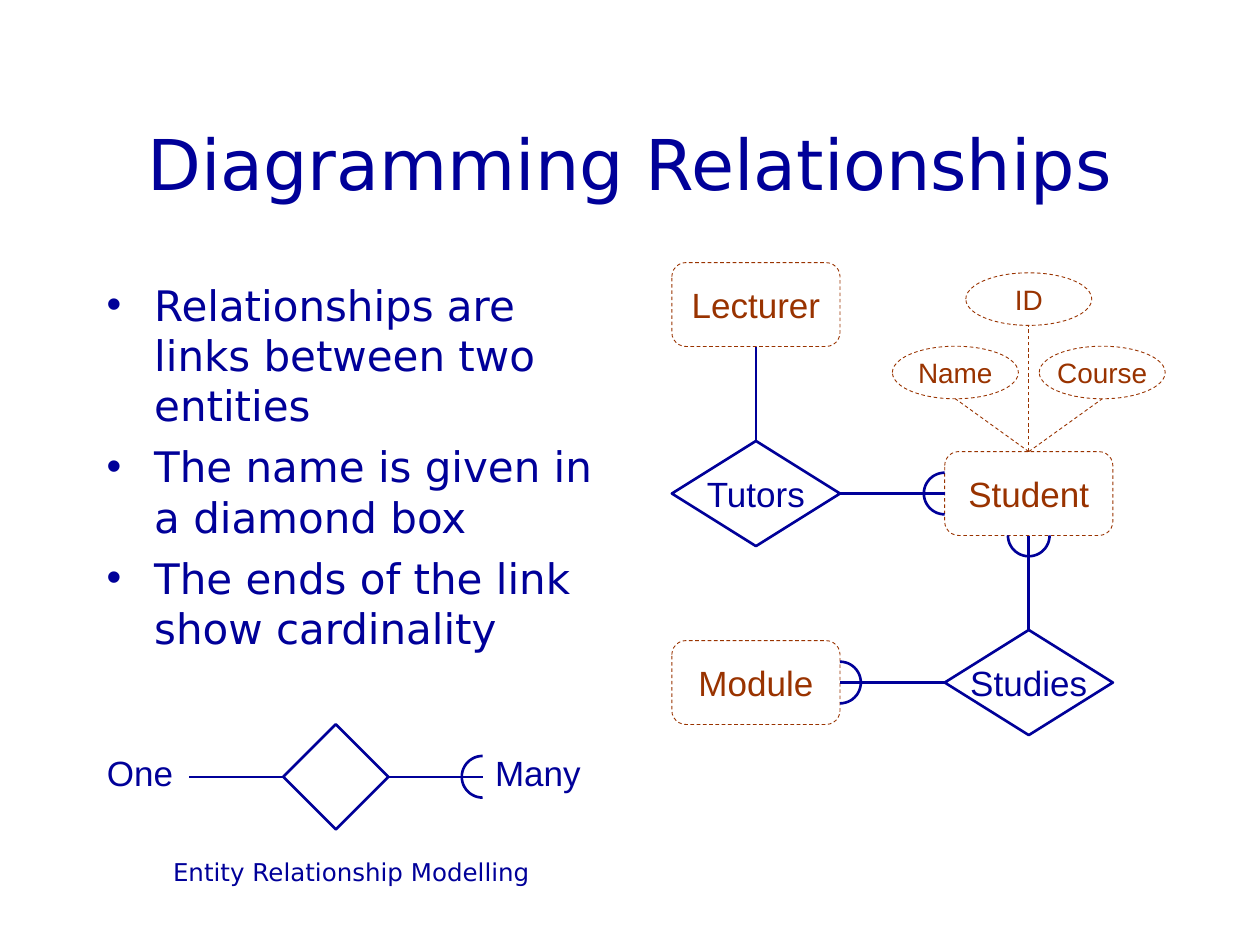
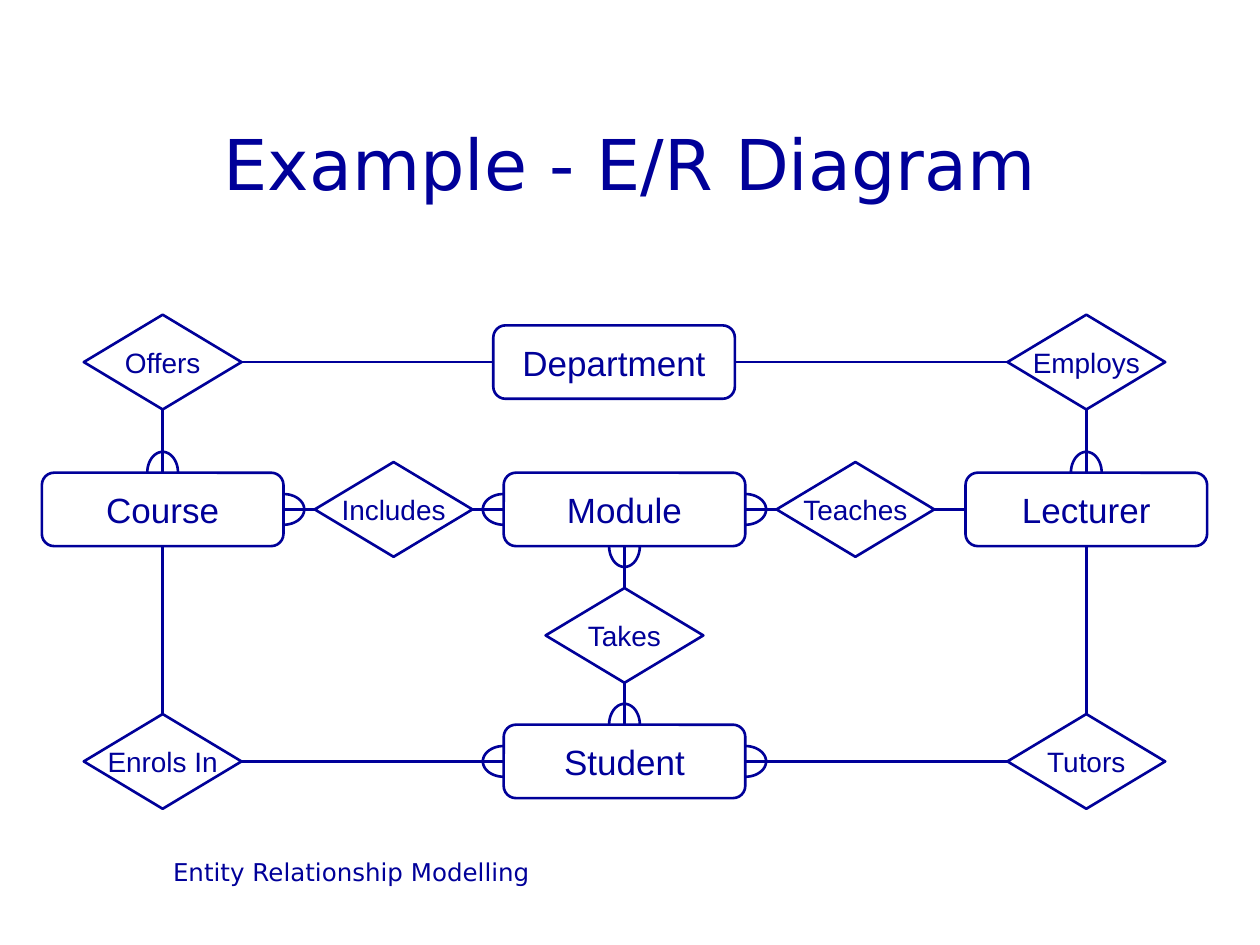
"""Build two slides that explain entity/relationship diagrams."""
from dataclasses import dataclass
from math import cos, pi, sin

from lxml import etree
from pptx import Presentation
from pptx.dml.color import RGBColor
from pptx.enum.dml import MSO_LINE
from pptx.enum.shapes import MSO_CONNECTOR, MSO_SHAPE
from pptx.enum.text import MSO_ANCHOR, PP_ALIGN
from pptx.oxml.ns import qn
from pptx.shapes.base import BaseShape
from pptx.slide import Slide
from pptx.text.text import TextFrame
from pptx.util import Cm, Pt

Vector = tuple[float, float]

ROUNDED, DIAMOND, OVAL = MSO_SHAPE.ROUNDED_RECTANGLE, MSO_SHAPE.DIAMOND, MSO_SHAPE.OVAL
STRAIGHT = MSO_CONNECTOR.STRAIGHT
DASH = MSO_LINE.DASH
TOP, MIDDLE = MSO_ANCHOR.TOP, MSO_ANCHOR.MIDDLE
LEFT_ALIGN, CENTER, RIGHT_ALIGN = PP_ALIGN.LEFT, PP_ALIGN.CENTER, PP_ALIGN.RIGHT
NAVY, RUST = "000099", "993300"
HEADING_FONT, LABEL_FONT = "DejaVu Sans", "Arial"
LEFT, RIGHT, UP, DOWN = (-1, 0), (1, 0), (0, -1), (0, 1)
MARGIN = 1.9
MANY_DEPTH = 0.42
ARC_STEPS = 24


@dataclass(frozen=True)
class Pen:
    """Colour, width in points and dash of an outline."""
    color: str
    width: float
    dashed: bool = False


SOLID = Pen(NAVY, 1.5)
FAINT = Pen(RUST, 0.5, True)


@dataclass(frozen=True)
class Kind:
    """The look shared by nodes of one sort, sized in centimetres."""
    shape: MSO_SHAPE
    width: float
    height: float
    size: int
    pen: Pen


@dataclass(frozen=True)
class Node:
    """A labelled diagram symbol placed by its centre."""
    kind: Kind
    label: str
    x: float
    y: float

    def side(self, way: Vector) -> Vector:
        """Return the middle of the edge that lies in the given direction."""
        return (self.x + way[0] * self.kind.width / 2,
                self.y + way[1] * self.kind.height / 2)


@dataclass(frozen=True)
class Link:
    """A line that leaves start in one direction and enters end opposite."""
    start: Node
    way: Vector
    end: Node
    many_start: bool = False
    many_end: bool = False
    pen: Pen = SOLID


def rgb(color: str) -> RGBColor:
    """Turn a hex string into a colour."""
    return RGBColor.from_string(color)


def apply_pen(shape: BaseShape, pen: Pen) -> None:
    """Outline a shape or connector."""
    shape.line.color.rgb = rgb(pen.color)
    shape.line.width = Pt(pen.width)
    if pen.dashed:
        shape.line.dash_style = DASH


def format_text(frame: TextFrame, size: int, font: str, color: str,
                align: PP_ALIGN, anchor: MSO_ANCHOR) -> None:
    """Give all text of a frame one look."""
    frame.vertical_anchor = anchor
    for para in frame.paragraphs:
        para.alignment = align
        for span in para.runs:
            span.font.size = Pt(size)
            span.font.name = font
            span.font.color.rgb = rgb(color)


def add_text(page: Slide, text: str, left: float, top: float, width: float,
             height: float, size: int, font: str = HEADING_FONT,
             align: PP_ALIGN = CENTER, anchor: MSO_ANCHOR = TOP,
             wrap: bool = True) -> TextFrame:
    """Add a navy text box and return its frame."""
    box = page.shapes.add_textbox(Cm(left), Cm(top), Cm(width), Cm(height))
    frame = box.text_frame
    frame.word_wrap = wrap
    frame.text = text
    format_text(frame, size, font, NAVY, align, anchor)
    return frame


def add_bullets(page: Slide, lines: list[str]) -> None:
    """Add the bulleted list on the left half."""
    frame = add_text(page, "\n".join(lines), MARGIN, 5.5, 10.58, 11.43, 24,
                     align=LEFT_ALIGN)
    for para in frame.paragraphs:
        para.space_before = Pt(6)
        properties = para._p.get_or_add_pPr()
        properties.set("marL", str(Cm(0.96)))
        properties.set("indent", str(-Cm(0.96)))
        etree.SubElement(properties, qn("a:buFont"), typeface=LABEL_FONT)
        etree.SubElement(properties, qn("a:buChar"), char="•")


def add_node(page: Slide, node: Node) -> None:
    """Draw a node with its label."""
    kind = node.kind
    shape = page.shapes.add_shape(
        kind.shape, Cm(node.x - kind.width / 2), Cm(node.y - kind.height / 2),
        Cm(kind.width), Cm(kind.height))
    shape.shadow.inherit = False
    shape.fill.background()
    apply_pen(shape, kind.pen)
    frame = shape.text_frame
    frame.word_wrap = False
    frame.text = node.label
    format_text(frame, kind.size, LABEL_FONT, kind.pen.color, CENTER, MIDDLE)


def add_line(page: Slide, start: Vector, end: Vector, pen: Pen = SOLID) -> None:
    """Draw a straight connector."""
    line = page.shapes.add_connector(
        STRAIGHT, Cm(start[0]), Cm(start[1]), Cm(end[0]), Cm(end[1]))
    apply_pen(line, pen)
    etree.SubElement(line._element.spPr, qn("a:effectLst"))


def add_many(page: Slide, point: Vector, way: Vector, spread: float) -> None:
    """Draw the half ellipse that marks the many end of a link."""
    points = []
    for step in range(ARC_STEPS + 1):
        angle = pi * step / ARC_STEPS - pi / 2
        along, across = MANY_DEPTH * cos(angle), spread * sin(angle)
        points.append((Cm(point[0] + way[0] * along - way[1] * across),
                       Cm(point[1] + way[1] * along + way[0] * across)))
    builder = page.shapes.build_freeform(*points[0])
    builder.add_line_segments(points[1:], close=False)
    arc = builder.convert_to_shape()
    arc.shadow.inherit = False
    arc.fill.background()
    apply_pen(arc, SOLID)


def add_diagram(page: Slide, nodes: list[Node], links: list[Link],
                spread: float) -> None:
    """Draw nodes, the links between them and their many marks."""
    for node in nodes:
        add_node(page, node)
    for link in links:
        back = (-link.way[0], -link.way[1])
        start, end = link.start.side(link.way), link.end.side(back)
        add_line(page, start, end, link.pen)
        if link.many_start:
            add_many(page, start, link.way, spread)
        if link.many_end:
            add_many(page, end, back, spread)


def add_page(deck: Presentation, title: str) -> Slide:
    """Add a blank slide with the shared title and footer."""
    page = deck.slides.add_slide(deck.slide_layouts[6])
    add_text(page, "Entity Relationship Modelling", MARGIN, 17.15, 10.37, 1.27, 14)
    add_text(page, title, MARGIN, 1.68, 21.59, 3.18, 40, anchor=MIDDLE)
    return page


def add_key(page: Slide, spread: float) -> None:
    """Draw the key that explains the one and many ends."""
    key = Node(Kind(DIAMOND, 2.12, 2.12, 20, SOLID), "", 6.77, 15.66)
    one_end, many_end = (3.81, key.y), (9.73, key.y)
    add_node(page, key)
    add_line(page, one_end, key.side(LEFT))
    add_line(page, key.side(RIGHT), many_end)
    add_many(page, many_end, LEFT, spread)
    add_text(page, "One", 1.5, 15.03, 2.24, 1.12, 20, LABEL_FONT,
             RIGHT_ALIGN, wrap=False)
    add_text(page, "Many", 9.73, 15.03, 2.24, 1.12, 20, LABEL_FONT,
             LEFT_ALIGN, wrap=False)


def build_relationships(deck: Presentation) -> None:
    """Build the slide on how relationships are drawn."""
    page = add_page(deck, "Diagramming Relationships")
    add_bullets(page, ["Relationships are links between two entities",
                       "The name is given in a diamond box",
                       "The ends of the link show cardinality"])
    entity = Kind(ROUNDED, 3.39, 1.69, 20, FAINT)
    relation = Kind(DIAMOND, 3.39, 2.12, 20, SOLID)
    attribute = Kind(OVAL, 2.54, 1.06, 16, FAINT)
    near, far = 15.24, 20.74
    top, middle, bottom = (6.14 + 3.81 * row for row in range(3))
    student = Node(entity, "Student", far, middle)
    lecturer = Node(entity, "Lecturer", near, top)
    module = Node(entity, "Module", near, bottom)
    tutors = Node(relation, "Tutors", near, middle)
    studies = Node(relation, "Studies", far, bottom)
    attributes = [Node(attribute, "ID", far, 6.03),
                  Node(attribute, "Course", far + 1.48, 7.51),
                  Node(attribute, "Name", far - 1.48, 7.51)]
    links = [Link(lecturer, DOWN, tutors),
             Link(tutors, RIGHT, student, many_end=True),
             Link(student, DOWN, studies, many_start=True),
             Link(module, RIGHT, studies, many_start=True)]
    links += [Link(student, UP, item, pen=FAINT) for item in attributes]
    spread = 0.42
    add_diagram(page, [student, lecturer, module, tutors, studies, *attributes],
                links, spread)
    add_key(page, spread)


def build_example(deck: Presentation) -> None:
    """Build the slide with the complete example diagram."""
    page = add_page(deck, "Example - E/R Diagram")
    entity = Kind(ROUNDED, 4.87, 1.48, 20, SOLID)
    relation = Kind(DIAMOND, 3.18, 1.91, 16, SOLID)
    left, left_mid, center, right_mid, right = (3.28 + 9.31 * col / 2 for col in range(5))
    top, middle, bottom = 7.3, 10.27, 15.35
    department = Node(entity, "Department", center - 0.21, top)
    course = Node(entity, "Course", left, middle)
    module = Node(entity, "Module", center, middle)
    lecturer = Node(entity, "Lecturer", right, middle)
    student = Node(entity, "Student", center, bottom)
    offers = Node(relation, "Offers", left, top)
    employs = Node(relation, "Employs", right, top)
    includes = Node(relation, "Includes", left_mid, middle)
    teaches = Node(relation, "Teaches", right_mid, middle)
    takes = Node(relation, "Takes", center, (middle + bottom) / 2)
    enrols = Node(relation, "Enrols In", left, bottom)
    tutors = Node(relation, "Tutors", right, bottom)
    nodes = [department, course, module, lecturer, student, offers, employs,
             includes, teaches, takes, enrols, tutors]
    links = [Link(offers, RIGHT, department),
             Link(department, RIGHT, employs),
             Link(offers, DOWN, course, many_end=True),
             Link(employs, DOWN, lecturer, many_end=True),
             Link(course, RIGHT, includes, many_start=True),
             Link(includes, RIGHT, module, many_end=True),
             Link(module, RIGHT, teaches, many_start=True),
             Link(teaches, RIGHT, lecturer),
             Link(module, DOWN, takes, many_start=True),
             Link(takes, DOWN, student, many_end=True),
             Link(course, DOWN, enrols),
             Link(enrols, RIGHT, student, many_end=True),
             Link(student, RIGHT, tutors, many_start=True),
             Link(lecturer, DOWN, tutors)]
    add_diagram(page, nodes, links, 0.31)


def main() -> None:
    """Create and save the deck."""
    deck = Presentation()
    deck.slide_width, deck.slide_height = Cm(25.4), Cm(19.05)
    build_relationships(deck)
    build_example(deck)
    deck.save("out.pptx")


main()
